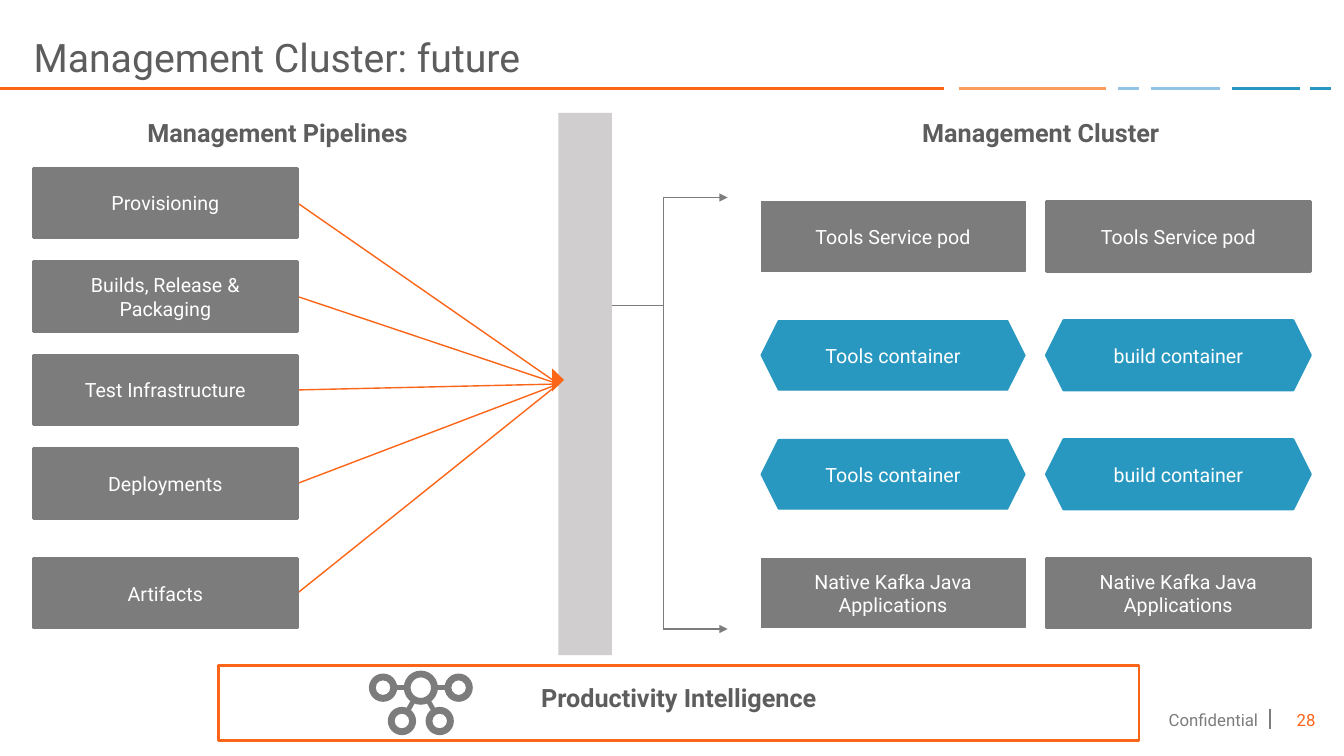
from lxml.etree import SubElement
from pptx import Presentation
from pptx.dml.color import RGBColor
from pptx.enum.shapes import MSO_CONNECTOR, MSO_SHAPE
from pptx.enum.text import MSO_ANCHOR, PP_ALIGN
from pptx.oxml.ns import qn
from pptx.util import Pt

COLORS = {
    "orange": "FB6517", "peach": "FC9D60", "sky": "93C3E6", "blue": "2898C1",
    "gray": "7C7C7C", "text": "5D5D5D", "bar": "D0CECE", "white": "FFFFFF",
}
BOX_WIDTH, BOX_HEIGHT = 188.6, 49.7


def color(name):
    return RGBColor.from_string(COLORS[name])


def write(shape, text, size=14, ink="white", bold=False, align=PP_ALIGN.CENTER,
          anchor=MSO_ANCHOR.MIDDLE, side=7.2, top=3.6, spacing=None):
    frame = shape.text_frame
    frame.word_wrap = True
    frame.vertical_anchor = anchor
    frame.margin_left = frame.margin_right = Pt(side)
    frame.margin_top, frame.margin_bottom = Pt(top), Pt(3.6)
    paragraph = frame.paragraphs[0]
    paragraph.alignment = align
    if spacing:
        paragraph.line_spacing = spacing
    run = paragraph.add_run()
    run.text = text
    run.font.name, run.font.size, run.font.bold = "Roboto", Pt(size), bold
    run.font.color.rgb = color(ink)


def add_label(slide, box, text, **style):
    write(slide.shapes.add_textbox(*map(Pt, box)), text, **style)


def add_shape(slide, kind, box, fill=None, line=None, width=2):
    shape = slide.shapes.add_shape(kind, *map(Pt, box))
    shape.shadow.inherit = False
    if fill:
        shape.fill.solid()
        shape.fill.fore_color.rgb = color(fill)
    else:
        shape.fill.background()
    if line:
        shape.line.color.rgb = color(line)
        shape.line.width = Pt(width)
    else:
        shape.line.fill.background()
    return shape


def add_line(slide, start, end, ink="gray", width=1, arrow=False):
    connector = slide.shapes.add_connector(MSO_CONNECTOR.STRAIGHT, *map(Pt, start + end))
    connector.line.color.rgb = color(ink)
    connector.line.width = Pt(width)
    if arrow:
        SubElement(connector.line._get_or_add_ln(), qn("a:tailEnd"), type="triangle")
    SubElement(connector._element.spPr, qn("a:effectLst"))


def add_node(slide, kind, left, top, text, fill, width=2):
    box = (left, top, BOX_WIDTH, BOX_HEIGHT)
    write(add_shape(slide, kind, box, fill, fill, width), text)


def add_header(slide, left, top, width, height):
    add_label(slide, (left + 24, top, width - 48, height - 2), "Management Cluster: future",
              size=28, ink="text", align=PP_ALIGN.LEFT, anchor=MSO_ANCHOR.BOTTOM,
              side=0, spacing=0.9)
    dashes = [(0, 674, "orange"), (684.7, 789.8, "peach"), (798.5, 813.6, "sky"),
              (822.2, 871.2, "sky"), (879.8, 928.8, "blue"), (936, 951.1, "blue")]
    for start, end, ink in dashes:
        add_line(slide, (left + start, top + height), (left + end, top + height), ink, 2)


def add_footer(slide, left, top, width, height):
    add_label(slide, (left, top, 139, height), "Confidential",
              size=12, ink="gray", align=PP_ALIGN.RIGHT)
    add_line(slide, (left + 140.4, top + 3), (left + 140.4, top + 17.3))
    add_label(slide, (left + width - 54, top, 54, height), "28",
              size=12, ink="orange", align=PP_ALIGN.RIGHT)


def add_bracket(slide, left, top, width, height):
    spine = left + 46.9
    add_line(slide, (spine, top), (spine, top + height))
    for y in (top, top + height):
        add_line(slide, (spine, y), (left + width, y), arrow=True)
    add_line(slide, (left, top + height / 4), (spine, top + height / 4))


def add_bus(slide, left, top, width, height):
    half = width / 2
    for x in (left + half, left):
        add_shape(slide, MSO_SHAPE.RECTANGLE, (x, top, half, height), "bar")


def add_pipelines(slide, left, top, width, height):
    """Stack the pipeline boxes, each linked to one point on the right edge."""
    add_label(slide, (left, top, 349, 29), "Management Pipelines",
              size=18, ink="text", bold=True, anchor=MSO_ANCHOR.TOP)
    target = (left + width, top + 193.7)
    names = ["Provisioning", "Builds, Release & Packaging", "Test Infrastructure",
             "Deployments", "Artifacts"]
    tops = [top + 39.5 + 66.8 * row for row in range(4)] + [top + height - BOX_HEIGHT]
    for name, y in zip(names, tops):
        add_line(slide, (left + BOX_WIDTH, y + BOX_HEIGHT / 2), target, "orange")
        add_node(slide, MSO_SHAPE.RECTANGLE, left, y, name, "gray")
    head = add_shape(slide, MSO_SHAPE.ISOSCELES_TRIANGLE,
                     (target[0] - 8.6, target[1] - 7.2, 16.6, 8.6), "orange")
    head.rotation = 90


def add_cluster(slide, left, top, width, height):
    add_label(slide, (left, top, width, 29), "Management Cluster",
              size=18, ink="text", bold=True, anchor=MSO_ANCHOR.TOP)
    first_row = top + 63.4
    pitch = (top + height - BOX_HEIGHT - first_row) / 3
    right = left + width - BOX_WIDTH
    for x, container, outline in ((right, "build container", 2),
                                  (right - 203.8, "Tools container", 0.75)):
        rows = [(MSO_SHAPE.RECTANGLE, "Tools Service pod", "gray"),
                (MSO_SHAPE.HEXAGON, container, "blue"),
                (MSO_SHAPE.HEXAGON, container, "blue"),
                (MSO_SHAPE.RECTANGLE, "Native Kafka Java Applications", "gray")]
        for row, (kind, text, fill) in enumerate(rows):
            add_node(slide, kind, x, first_row + pitch * row, text, fill, outline)


def add_network_icon(slide, left, top):
    """Draw a hub ring with four smaller rings linked to it."""
    hub, hub_radius, radius, band = (left + 37.1, top + 12.4), 12.2, 10.1, 4.9
    nodes = [(hub[0] + dx, hub[1] + dy)
             for dx, dy in ((-27, 0), (27, 0), (-13.5, 23.8), (13.5, 23.8))]
    for x, y in nodes:
        dx, dy = x - hub[0], y - hub[1]
        length = (dx * dx + dy * dy) ** 0.5
        start, end = (hub_radius - 2) / length, 1 - (radius - 2) / length
        add_line(slide, (hub[0] + dx * start, hub[1] + dy * start),
                 (hub[0] + dx * end, hub[1] + dy * end), width=3.5)
    for (x, y), size in [(hub, hub_radius)] + [(node, radius) for node in nodes]:
        ring = add_shape(slide, MSO_SHAPE.DONUT,
                         (x - size, y - size, 2 * size, 2 * size), "gray")
        ring.adjustments[0] = band / (2 * size)


def add_intelligence(slide, left, top, width, height):
    add_network_icon(slide, left + 107.3, top + 3.6)
    frame = add_shape(slide, MSO_SHAPE.RECTANGLE, (left, top, width, height), line="orange")
    write(frame, "Productivity Intelligence", size=18, ink="text", bold=True,
          anchor=MSO_ANCHOR.TOP, top=14.4, spacing=0.9)


def main():
    presentation = Presentation()
    presentation.slide_width, presentation.slide_height = Pt(960), Pt(540)
    slide = presentation.slides.add_slide(presentation.slide_layouts[6])
    add_header(slide, 0, 0, 960, 63.4)
    add_footer(slide, 766.8, 503.3, 180, 21.6)
    add_bracket(slide, 427, 141.1, 92.8, 308.2)
    add_bus(slide, 398.9, 80.6, 38.2, 387.4)
    add_pipelines(slide, 23.8, 80.6, 375.1, 368)
    add_cluster(slide, 550.8, 80.6, 385.2, 368)
    add_intelligence(slide, 156.2, 475.2, 657.4, 54)
    presentation.save("out.pptx")


if __name__ == "__main__":
    main()
